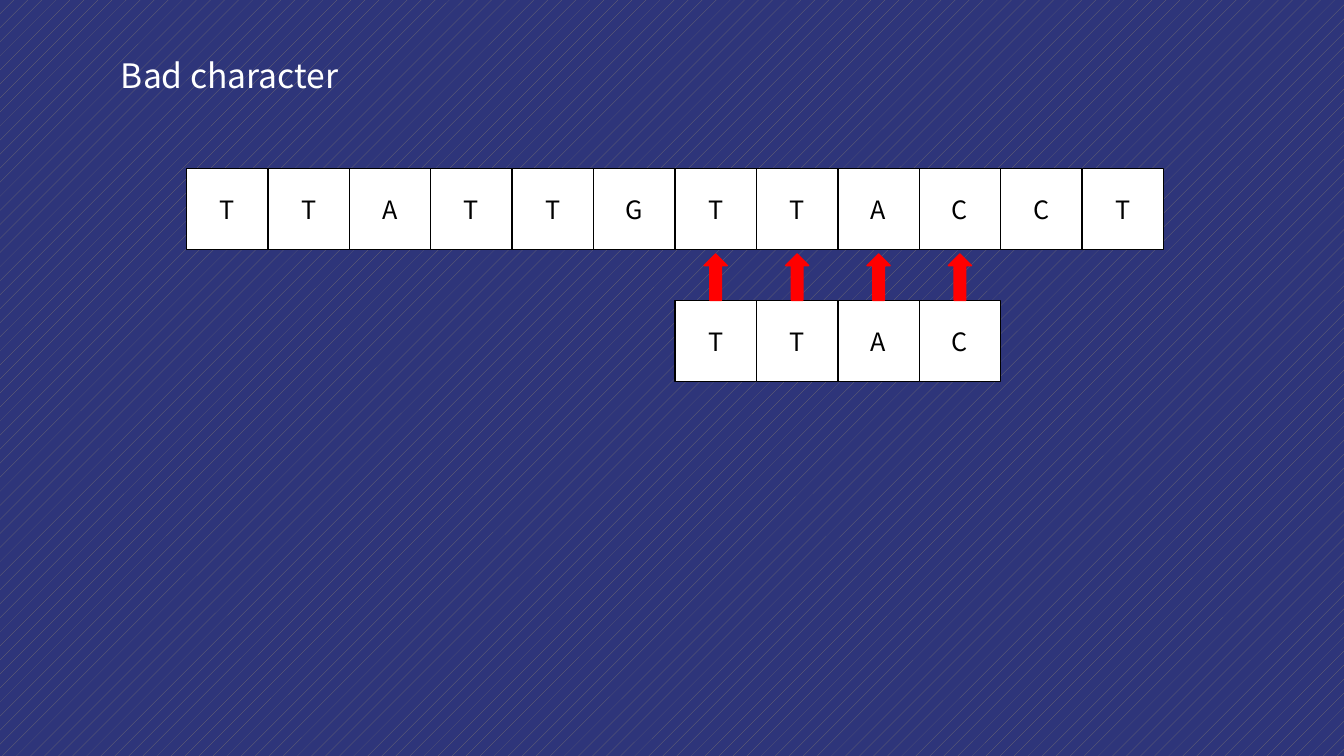
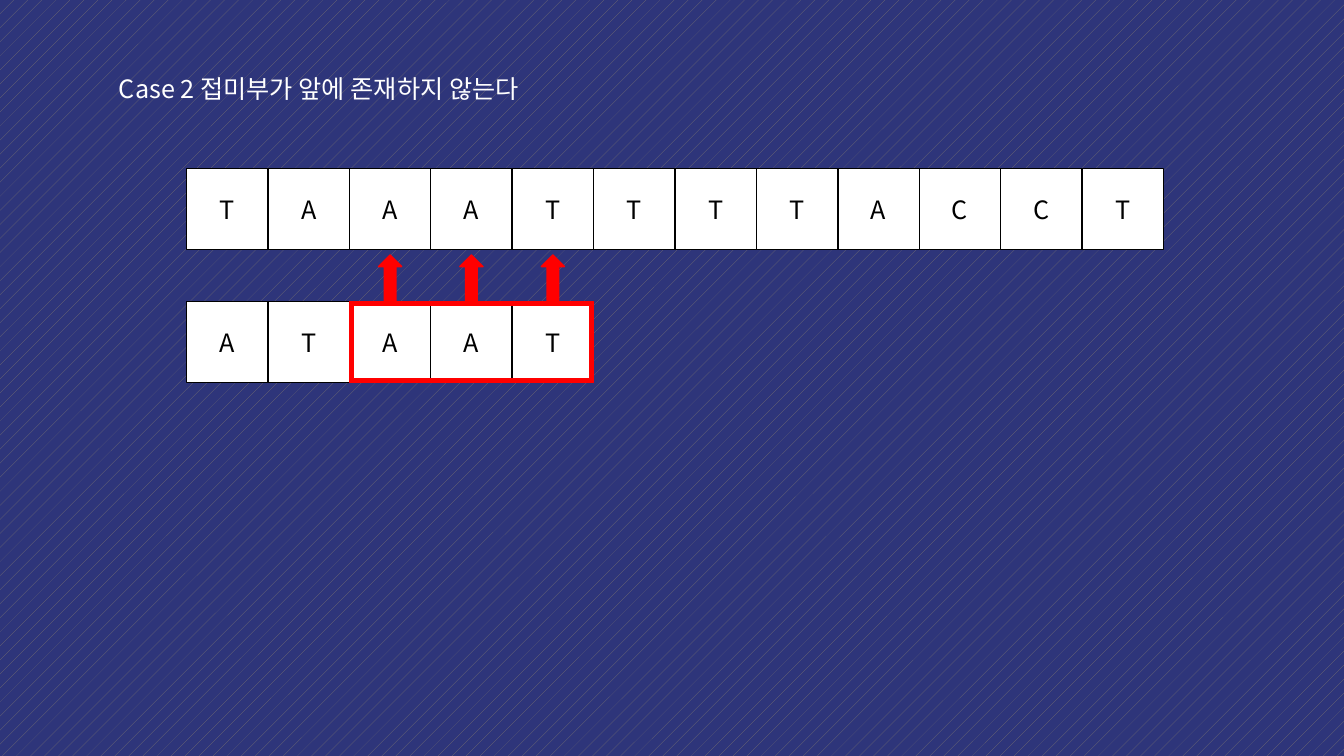
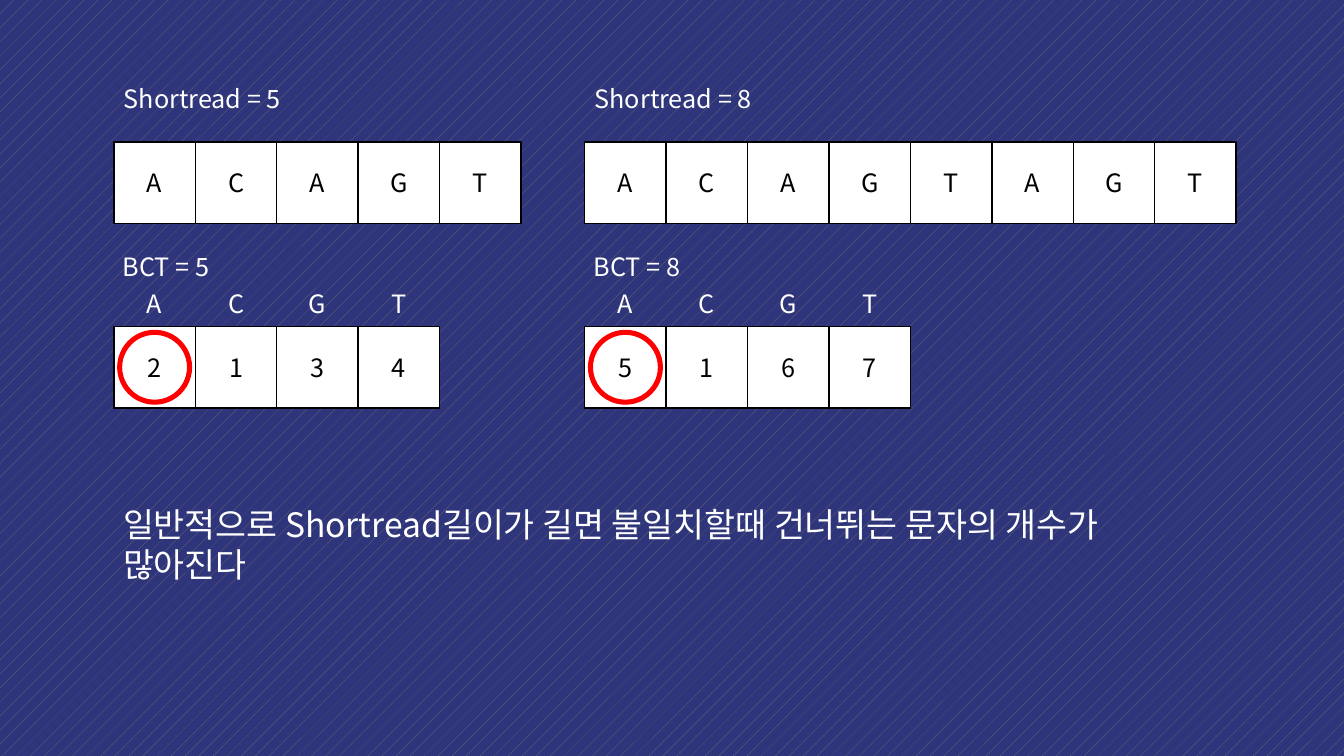
import pptx
import pptx.util
import pptx.dml.color
import pptx.enum.dml
import pptx.enum.shapes
import pptx.enum.text
import pptx.oxml
import pptx.oxml.ns

Inches = pptx.util.Inches
RGBColor = pptx.dml.color.RGBColor
SHAPE = pptx.enum.shapes.MSO_SHAPE
ANCHOR = pptx.enum.text.MSO_ANCHOR
ALIGN = pptx.enum.text.PP_ALIGN
AUTO_SIZE = pptx.enum.text.MSO_AUTO_SIZE

# Shared look
NAVY = RGBColor(0x2E, 0x35, 0x7A)
GRAY = RGBColor(0x76, 0x71, 0x71)
WHITE = RGBColor(0xFF, 0xFF, 0xFF)
BLACK = RGBColor(0, 0, 0)
RED = RGBColor(0xFF, 0, 0)
FONT = "Noto Sans CJK KR"
CELL = Inches(9.69) // 12
TITLE_ONLY = 5

# Content: slides that slide a pattern along a text
TEXT_LEFT, TEXT_TOP = Inches(1.85), Inches(1.67)
ARROW_WIDTH, ARROW_HEIGHT = Inches(0.23), Inches(0.46)
MATCHES = [
    {
        "title": "Bad character", "size": 24,
        "title_box": (1.1, 0.49, 3.82, 0.5),
        "text": "TTATTGTTACCT", "pattern": "TTAC",
        "shift": 6, "pattern_top": 2.98,
        "matched": range(6, 10), "framed": False,
    },
    {
        "title": "Case 2 접미부가 앞에 존재하지 않는다", "size": 18,
        "title_box": (1.08, 0.68, 4.91, 0.4),
        "text": "TAAATTTTACCT", "pattern": "ATAAT",
        "shift": 0, "pattern_top": 2.99,
        "matched": range(2, 5), "framed": True,
    },
]

# Content: bad character tables of a short and a long read
READS = [
    {"left": 1.13, "read": "ACAGT", "skips": "2134"},
    {"left": 5.8, "read": "ACAGTAGT", "skips": "5167"},
]
BASES = "ACGT"
CONCLUSION = "일반적으로 Shortread길이가 길면 불일치할때 건너뛰는 문자의 개수가 많아진다"


def write(shape, text, size=18, color=WHITE, align=ALIGN.LEFT, anchor=ANCHOR.TOP):
    frame = shape.text_frame
    frame.word_wrap = True
    frame.auto_size = AUTO_SIZE.NONE
    frame.vertical_anchor = anchor
    paragraph = frame.paragraphs[0]
    paragraph.alignment = align
    run = paragraph.add_run()
    run.text = text
    run.font.size = pptx.util.Pt(size)
    run.font.name = FONT
    run.font.color.rgb = color
    east_asian = pptx.oxml.parse_xml(
        f'<a:ea {pptx.oxml.ns.nsdecls("a")} typeface="{FONT}"/>')
    run.font._element.append(east_asian)


def add_title(slide, text, size, box):
    title = slide.shapes.title
    title.left, title.top, title.width, title.height = map(Inches, box)
    write(title, text, size)


def add_label(slide, text, left, top, width, height, **style):
    write(slide.shapes.add_textbox(left, top, width, height), text, **style)


def add_preset(slide, kind, left, top, width, height, fill=RED, line=RED):
    shape = slide.shapes.add_shape(kind, left, top, width, height)
    shape.shadow.inherit = False
    shape.fill.solid()
    shape.fill.fore_color.rgb = fill
    shape.line.color.rgb = line
    shape.line.width = pptx.util.Pt(1)
    return shape


def add_cells(slide, letters, left, top):
    for column, letter in enumerate(letters):
        cell = add_preset(slide, SHAPE.RECTANGLE, left + column * CELL, top,
                          CELL, CELL, WHITE, BLACK)
        write(cell, letter, color=BLACK, align=ALIGN.CENTER, anchor=ANCHOR.MIDDLE)


def build_match(slide, match):
    add_title(slide, match["title"], match["size"], match["title_box"])
    pattern_top = Inches(match["pattern_top"])
    add_cells(slide, match["text"], TEXT_LEFT, TEXT_TOP)
    add_cells(slide, match["pattern"], TEXT_LEFT + match["shift"] * CELL, pattern_top)

    # Arrows from the matched letters up to the text
    for column in match["matched"]:
        left = TEXT_LEFT + column * CELL + (CELL - ARROW_WIDTH) // 2
        add_preset(slide, SHAPE.UP_ARROW, left, pattern_top - ARROW_HEIGHT,
                   ARROW_WIDTH, ARROW_HEIGHT)

    # Frame around the matched suffix
    if match["framed"]:
        left = TEXT_LEFT + match["matched"][0] * CELL
        frame = add_preset(slide, SHAPE.FRAME, left, pattern_top,
                           len(match["matched"]) * CELL, CELL)
        frame.adjustments[0] = 0.05


def build_comparison(slide):
    add_title(slide, CONCLUSION, 24, (1.12, 4.95, 10.48, 0.91))
    ring_size = Inches(0.73)
    table_top = Inches(3.24)
    for group in READS:
        left = Inches(group["left"])
        length = len(group["read"])

        # Read
        add_label(slide, f"Shortread = {length}", left, Inches(0.78),
                  Inches(2.05), Inches(0.4))
        add_cells(slide, group["read"], left, Inches(1.41))

        # Skip table
        add_label(slide, f"BCT = {length}", left - Inches(0.01), Inches(2.44),
                  Inches(2.05), Inches(0.4))
        for column, base in enumerate(BASES):
            add_label(slide, base, left + column * CELL, Inches(2.61), CELL, CELL,
                      align=ALIGN.CENTER, anchor=ANCHOR.MIDDLE)
        add_cells(slide, group["skips"], left, table_top)

        # Ring around the first skip
        inset = (CELL - ring_size) // 2
        ring = add_preset(slide, SHAPE.DONUT, left + inset, table_top + inset,
                          ring_size, ring_size)
        ring.adjustments[0] = 0.05


def main():
    presentation = pptx.Presentation()
    presentation.slide_width = Inches(13.33)
    presentation.slide_height = Inches(7.5)

    # Patterned background for every slide
    background = presentation.slide_master.background.fill
    background.patterned()
    background.pattern = pptx.enum.dml.MSO_PATTERN.PERCENT_5
    background.fore_color.rgb = GRAY
    background.back_color.rgb = NAVY

    layout = presentation.slide_layouts[TITLE_ONLY]
    for match in MATCHES:
        build_match(presentation.slides.add_slide(layout), match)
    build_comparison(presentation.slides.add_slide(layout))
    presentation.save("out.pptx")


if __name__ == "__main__":
    main()
